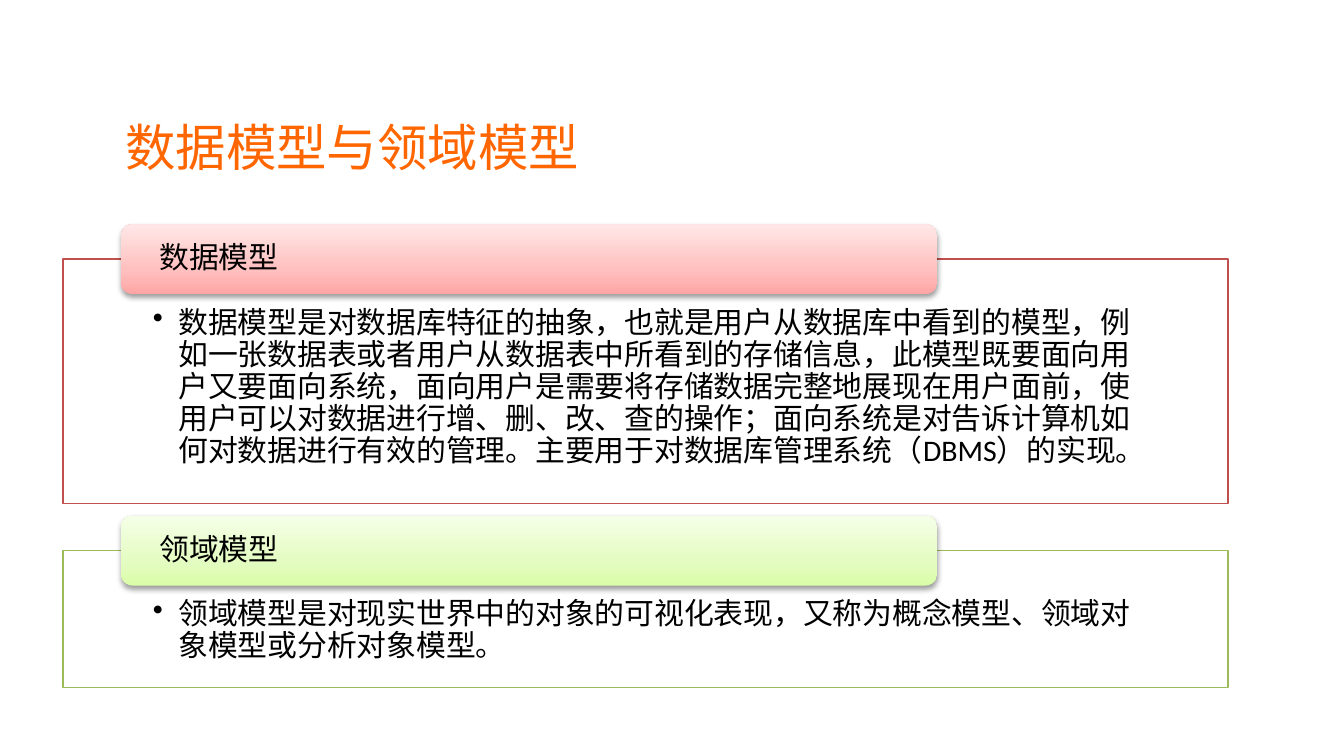
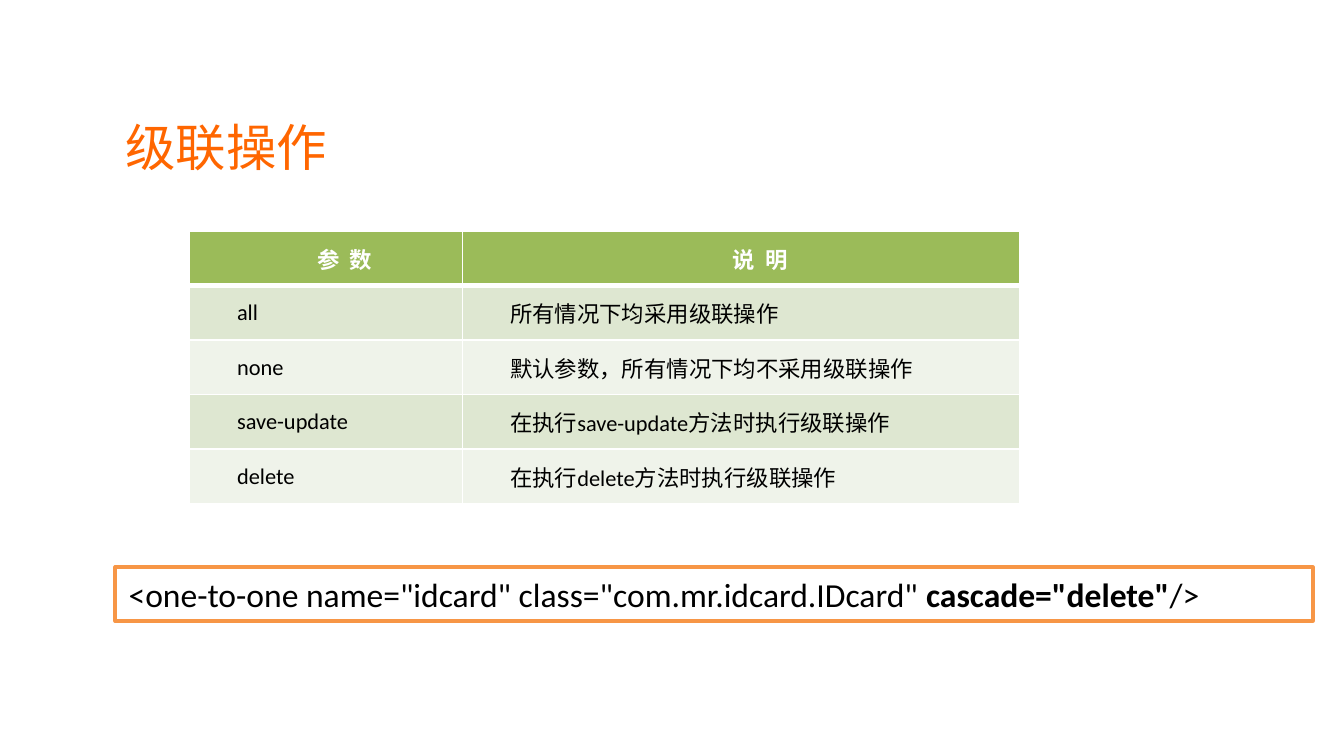
from dataclasses import dataclass
from copy import deepcopy

from lxml import etree
from pptx import Presentation
from pptx.dml.color import RGBColor
from pptx.enum.shapes import MSO_SHAPE
from pptx.enum.text import MSO_ANCHOR, MSO_AUTO_SIZE, PP_ALIGN
from pptx.oxml.ns import qn
from pptx.util import Cm, Pt

RECT, ROUND_RECT = MSO_SHAPE.RECTANGLE, MSO_SHAPE.ROUNDED_RECTANGLE
TOP, MIDDLE = MSO_ANCHOR.TOP, MSO_ANCHOR.MIDDLE
LEFT, CENTER, JUSTIFY = PP_ALIGN.LEFT, PP_ALIGN.CENTER, PP_ALIGN.JUSTIFY
GROW = MSO_AUTO_SIZE.SHAPE_TO_FIT_TEXT


@dataclass(frozen=True)
class Theme:
    title_font: str = "Arial"
    body_font: str = "Calibri"
    title_size: int = 27
    panel_size: int = 16
    table_size: int = 12
    code_size: int = 18
    title: str = "FF6600"
    ink: str = "000000"
    paper: str = "FFFFFF"
    red: str = "C0504D"
    green: str = "9BBB59"
    orange: str = "F79646"
    red_fade: tuple = ("FFA6A5", "FFC0BF", "FFE7E7")
    green_fade: tuple = ("DAFDA7", "E4FCC2", "F5FFE7")
    bands: tuple = ("DEE7D1", "EFF3EA")


THEME = Theme()
PANEL_LEFT, PANEL_WIDTH, PANEL_GAP = 1.19, 22.02, 0.89
LABEL_LEFT, LABEL_WIDTH, LABEL_HEIGHT = 2.29, 15.42, 1.32

PANELS = [
    ("数据模型",
     "数据模型是对数据库特征的抽象，也就是用户从数据库中看到的模型，例如一张数据表或者用户从数据表中所看到的存储信息，"
     "此模型既要面向用户又要面向系统，面向用户是需要将存储数据完整地展现在用户面前，使用户可以对数据进行增、删、改、查的操作；"
     "面向系统是对告诉计算机如何对数据进行有效的管理。主要用于对数据库管理系统（DBMS）的实现。",
     4.62, THEME.red, THEME.red_fade),
    ("领域模型",
     "领域模型是对现实世界中的对象的可视化表现，又称为概念模型、领域对象模型或分析对象模型。",
     2.59, THEME.green, THEME.green_fade),
]
CASCADE_ROWS = [
    ("参 数", "说 明"),
    ("all", "所有情况下均采用级联操作"),
    ("none", "默认参数，所有情况下均不采用级联操作"),
    ("save-update", "在执行save-update方法时执行级联操作"),
    ("delete", "在执行delete方法时执行级联操作"),
]
CODE_PARTS = [
    ('<one-to-one name="idcard" class="com.mr.idcard.IDcard" ', False),
    ('cascade="delete"', True),
    ("/>", False),
]


def rgb(color):
    return RGBColor.from_string(color)


def child(parent, tag, **attributes):
    return etree.SubElement(parent, qn(tag), {key: str(value) for key, value in attributes.items()})


def style_span(span, size, color=THEME.ink, bold=False, font=THEME.body_font):
    span.font.name = font
    span.font.size = Pt(size)
    span.font.bold = bold
    span.font.color.rgb = rgb(color)


def set_frame(frame, insets, anchor):
    frame.word_wrap = True
    frame.vertical_anchor = anchor
    frame.margin_left, frame.margin_top, frame.margin_right, frame.margin_bottom = map(Cm, insets)


def add_shape(page, kind, left, top, width, height):
    shape = page.shapes.add_shape(kind, Cm(left), Cm(top), Cm(width), Cm(height))
    shape.shadow.inherit = False
    return shape


def add_frame_box(page, left, top, width, height, color, weight):
    box = add_shape(page, RECT, left, top, width, height)
    box.fill.solid()
    box.fill.fore_color.rgb = rgb(THEME.paper)
    box.line.color.rgb = rgb(color)
    box.line.width = Pt(weight)
    return box


def add_page(deck, title):
    page = deck.slides.add_slide(deck.slide_layouts[6])
    box = page.shapes.add_textbox(Cm(2.18), Cm(1.78), Cm(20.04), Cm(1.96))
    set_frame(box.text_frame, (0.19, 0.1, 0.19, 0.1), MIDDLE)
    box.text_frame.text = title
    style_span(box.text_frame.paragraphs[0].runs[0], THEME.title_size, THEME.title, font=THEME.title_font)
    return page


def write_panel_text(box, text, insets, anchor, bullet=False):
    frame = box.text_frame
    set_frame(frame, insets, anchor)
    frame.text = text
    para = frame.paragraphs[0]
    para.alignment = LEFT
    para.line_spacing = 0.9
    if bullet:
        para.level = 1
        properties = para._p.get_or_add_pPr()
        properties.set("marL", str(Cm(0.48)))
        properties.set("indent", str(Cm(-0.48)))
        child(properties, "a:buChar", char="•")
    style_span(para.runs[0], THEME.panel_size)


def add_panel(page, top, height, text, color):
    box = add_frame_box(page, PANEL_LEFT, top, PANEL_WIDTH, height, color, 0.75)
    child(box._element.spPr.find(qn("a:solidFill"))[0], "a:alpha", val=90000)
    write_panel_text(box, text, (1.7, 0.91, 1.7, 0.3), TOP, bullet=True)


def add_label(page, top, text, fade):
    label = add_shape(page, ROUND_RECT, LABEL_LEFT, top, LABEL_WIDTH, LABEL_HEIGHT)
    label.line.fill.background()
    label.fill.gradient()
    label.fill.gradient_angle = 90
    properties = label._element.spPr
    stops = properties.find(".//" + qn("a:gsLst"))
    stops.append(deepcopy(stops[0]))
    for stop, position, color in zip(label.fill.gradient_stops, (0, 0.35, 1), fade):
        stop.position = position
        stop.color.rgb = rgb(color)
    shadow = child(properties.find(qn("a:effectLst")), "a:outerShdw", blurRad=Pt(3.1),
                   dist=Pt(1.6), dir=5400000, rotWithShape=0)
    child(child(shadow, "a:srgbClr", val=THEME.ink), "a:alpha", val=38000)
    write_panel_text(label, text, (0.66, 0, 0.66, 0), MIDDLE)


def set_borders(cell, top, bottom):
    properties = cell._tc.get_or_add_tcPr()
    for side, weight in (("L", 1), ("R", 1), ("T", top), ("B", bottom)):
        line = child(properties, "a:ln" + side, w=Pt(weight))
        child(child(line, "a:solidFill"), "a:srgbClr", val=THEME.paper)


def fill_cell(cell, text, row):
    header = row == 0
    set_borders(cell, 3 if row == 1 else 1, 3 if header else 1)
    cell.fill.solid()
    cell.fill.fore_color.rgb = rgb(THEME.green if header else THEME.bands[(row - 1) % 2])
    cell.vertical_anchor = MIDDLE
    cell.margin_left = cell.margin_right = Cm(0.19)
    cell.margin_top = cell.margin_bottom = 0
    cell.text_frame.text = text
    para = cell.text_frame.paragraphs[0]
    para.alignment = CENTER if header else JUSTIFY
    para.space_before = para.space_after = Pt(1.2)
    para._p.get_or_add_pPr().set("indent", str(Cm(0.71)))
    span = para.runs[0]
    style_span(span, THEME.table_size, THEME.paper if header else THEME.ink, header)
    if header:
        span._r.get_or_add_rPr().set("spc", "135")


def add_table(page, rows, left, top, widths, row_height):
    table = page.shapes.add_table(len(rows), len(widths), Cm(left), Cm(top),
                                  Cm(sum(widths)), Cm(row_height * len(rows))).table
    for column, width in zip(table.columns, widths):
        column.width = Cm(width)
    for row, texts in enumerate(rows):
        table.rows[row].height = Cm(row_height)
        for column, text in enumerate(texts):
            fill_cell(table.cell(row, column), text, row)


def add_code(page, parts):
    box = add_frame_box(page, 2.18, 10.72, 22.63, 1.02, THEME.orange, 2)
    frame = box.text_frame
    set_frame(frame, (0.25, 0.13, 0.25, 0.13), TOP)
    frame.auto_size = GROW
    para = frame.paragraphs[0]
    para.alignment = LEFT
    for text, bold in parts:
        span = para.add_run()
        span.text = text
        style_span(span, THEME.code_size, bold=bold)


def build_models_page(deck):
    page = add_page(deck, "数据模型与领域模型")
    top = 4.9
    for name, text, height, color, fade in PANELS:
        add_panel(page, top, height, text, color)
        add_label(page, top - LABEL_HEIGHT / 2, name, fade)
        top += height + PANEL_GAP


def build_cascade_page(deck):
    page = add_page(deck, "级联操作")
    add_table(page, CASCADE_ROWS, 3.58, 4.37, (5.16, 10.54), 1.03)
    add_code(page, CODE_PARTS)


def main():
    deck = Presentation()
    deck.slide_width, deck.slide_height = Cm(25.4), Cm(14.29)
    build_models_page(deck)
    build_cascade_page(deck)
    deck.save("out.pptx")


if __name__ == "__main__":
    main()
